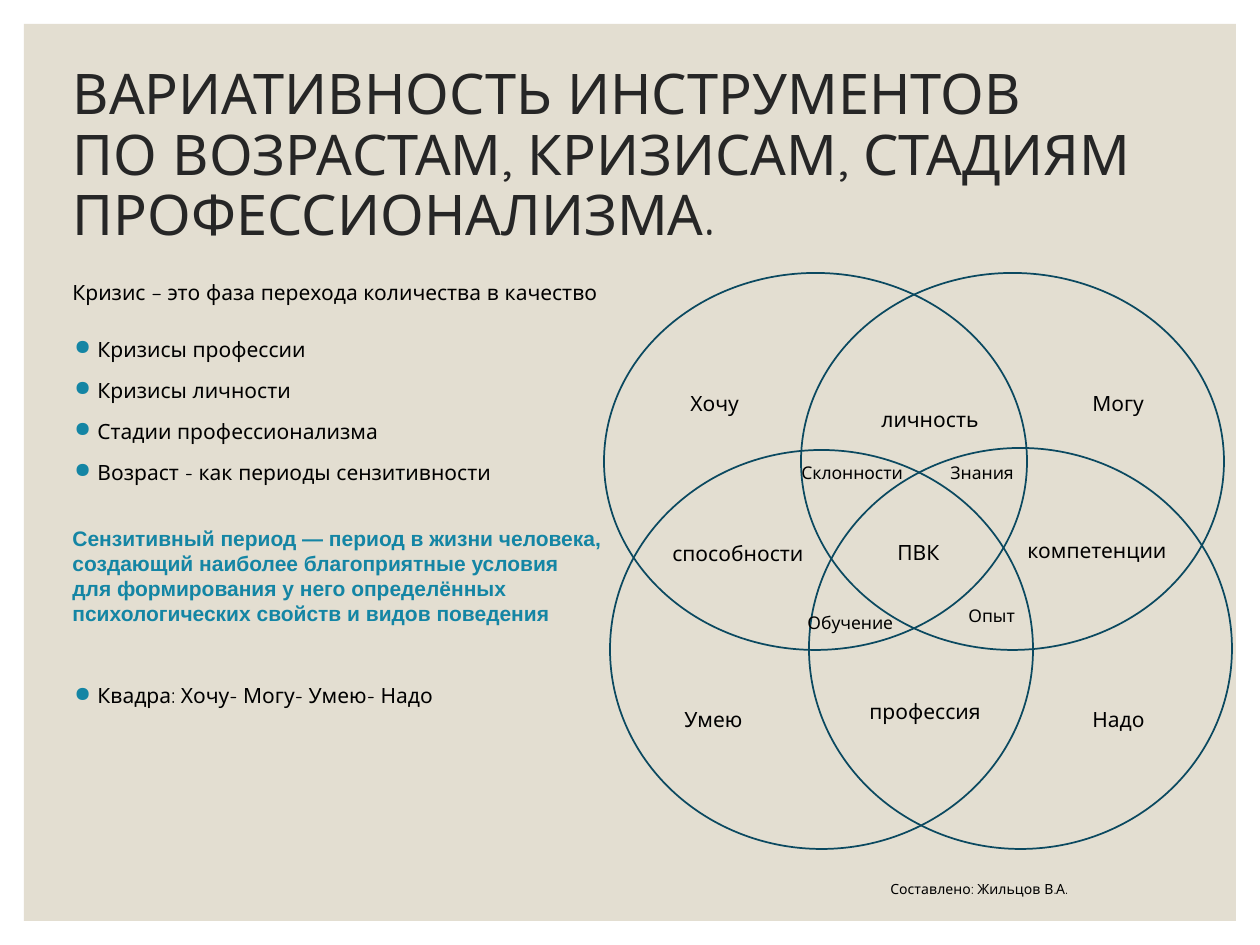
"""Build a slide on career tools by age and crisis, with a four-circle diagram."""
import pptx
import pptx.util
import pptx.dml.color
import pptx.enum.shapes
import pptx.enum.text
import lxml.etree

HUES = {"sand": "E3DED1", "ink": "262626", "text": "000000",
        "teal": "1485A4", "ring": "0B4960"}
FACE = "Quicksand"
Pt = pptx.util.Pt
SHAPE = pptx.enum.shapes.MSO_SHAPE
FIT = pptx.enum.text.MSO_AUTO_SIZE


def px(*nums):
    return [pptx.util.Emu(round(num * 914400 / 126)) for num in nums]


def write(para, text, size, hue="text", face=FACE, bold=False):
    run = para.add_run()
    run.text = text
    run.font.size = Pt(size)
    run.font.name = face
    run.font.bold = bold
    run.font.color.rgb = pptx.dml.color.RGBColor.from_string(HUES[hue])


deck = pptx.Presentation()
deck.slide_width, deck.slide_height = px(1260, 945)
slide = deck.slides.add_slide(deck.slide_layouts[5])
shapes = slide.shapes

panel = shapes.add_shape(SHAPE.RECTANGLE, *px(24, 24, 1212, 897))
panel.shadow.inherit = False
panel.fill.solid()
panel.fill.fore_color.rgb = pptx.dml.color.RGBColor.from_string(HUES["sand"])
panel.line.fill.background()
shapes._spTree.insert(2, panel._element)

title = shapes.title
title.left, title.top, title.width, title.height = px(60, 118, 1191, 138)
frame = title.text_frame
frame.word_wrap = True
frame.auto_size = FIT.NONE
frame.vertical_anchor = pptx.enum.text.MSO_ANCHOR.MIDDLE
frame.margin_bottom = px(66)[0]
para = frame.paragraphs[0]
para.alignment = pptx.enum.text.PP_ALIGN.LEFT
para.line_spacing = 0.9
write(para, "ВАРИАТИВНОСТЬ ИНСТРУМЕНТОВ ", 32, "ink")
para.add_line_break()
write(para, "ПО ВОЗРАСТАМ, КРИЗИСАМ, СТАДИЯМ ПРОФЕССИОНАЛИЗМА.", 32, "ink")

points = [
    ("Кризисы профессии", True, 0),
    ("Кризисы личности", True, 9),
    ("Стадии профессионализма", True, 9),
    ("Возраст - как периоды сензитивности", True, 9),
    ("Сензитивный период — период в жизни человека,", False, 23.4),
    ("создающий наиболее благоприятные условия", False, 0),
    ("для формирования у него определённых", False, 0),
    ("психологических свойств и видов поведения", False, 0),
    ("Квадра: Хочу- Могу- Умею- Надо", True, 32.4),
]
body = shapes.add_textbox(*px(60, 330, 576, 450))
frame = body.text_frame
frame.word_wrap = True
for rank, (text, dot, gap) in enumerate(points):
    para = frame.paragraphs[0] if rank == 0 else frame.add_paragraph()
    if gap:
        para.space_before = Pt(gap)
    if dot:
        props = para._p.get_or_add_pPr()
        props.set("marL", str(px(25)[0]))
        props.set("indent", str(px(-23)[0]))
        ns = "{" + props.nsmap["a"] + "}"
        hue = lxml.etree.SubElement(props, ns + "buClr")
        lxml.etree.SubElement(hue, ns + "srgbClr", val=HUES["teal"])
        lxml.etree.SubElement(props, ns + "buChar", char="●")
        write(para, text, 12)
    else:
        para.line_spacing = Pt(14.4)
        write(para, text, 12, "teal", "Arial", True)

rings = [(604, 273, 377), (610, 450, 399), (809, 448, 401), (801, 273, 377)]
for left, top, high in rings:
    ring = shapes.add_shape(SHAPE.OVAL, *px(left, top, 423, high))
    ring.shadow.inherit = False
    ring.fill.background()
    ring.line.color.rgb = pptx.dml.color.RGBColor.from_string(HUES["ring"])
    ring.line.width = Pt(1)

labels = [
    ("Кризис – это фаза перехода количества в качество", 60, 273, 620, 12),
    ("Могу", 1080, 384, 82, 12),
    ("Хочу", 678, 384, 82, 12),
    ("Надо", 1080, 700, 82, 12),
    ("Умею", 672, 700, 130, 12),
    ("способности", 660, 534, 209, 12),
    ("компетенции", 1015, 531, 184, 12),
    ("ПВК", 885, 533, 82, 12),
    ("личность", 869, 400, 130, 12),
    ("профессия", 857, 692, 176, 12),
    ("Обучение", 795, 606, 147, 10),
    ("Опыт", 956, 599, 87, 10),
    ("Знания", 938, 456, 123, 10),
    ("Склонности", 789, 456, 159, 10),
    ("Составлено: Жильцов В.А.", 878, 874, 242, 8),
]
highs = {12: 38, 10: 34, 8: 30}
for text, left, top, wide, size in labels:
    label = shapes.add_textbox(*px(left, top, wide, highs[size]))
    frame = label.text_frame
    frame.word_wrap = True
    frame.auto_size = FIT.SHAPE_TO_FIT_TEXT
    write(frame.paragraphs[0], text, size)

deck.save("out.pptx")
